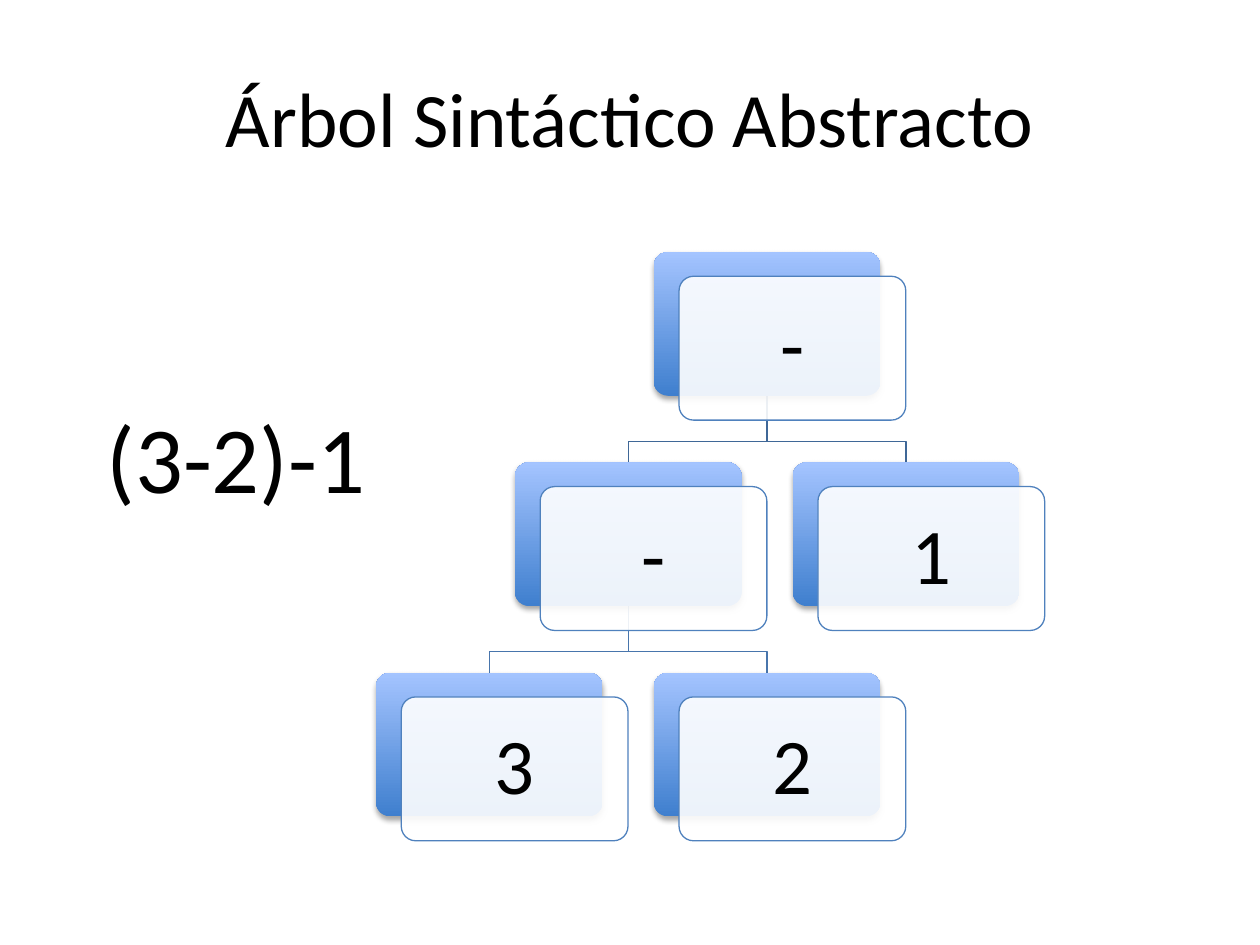
from lxml.etree import SubElement
from pptx import Presentation
from pptx.dml.color import RGBColor
from pptx.enum.shapes import MSO_SHAPE
from pptx.enum.text import MSO_ANCHOR, PP_ALIGN
from pptx.oxml.ns import qn
from pptx.util import Cm, Pt

COLORS = {
    "text": "000000",
    "card": "FFFFFF",
    "edge": "4F81BD",
    "dark": "3F7FCE",
    "light": "A4C4FF",
    "link_top": "3F6797",
    "link_low": "4875AC",
}
CARD_W, CARD_H = 4.57, 2.9
ROOT_X, ROOT_Y = 13.18, 5.08
STEP_X, STEP_Y = 2.8, 4.24
OFFSET_X, OFFSET_Y = 0.51, 0.49
ELBOW = 0.42
NODES = [("-", 0, 0), ("-", -1, 1), ("3", -2, 2), ("2", 0, 2), ("1", 1, 1)]
LINKS = [
    (0, 1, 0, "link_top"),
    (-1, 0, 1, "link_low"),
    (-1, -2, 1, "link_low"),
    (0, -1, 0, "link_top"),
]


def rgb(name):
    return RGBColor.from_string(COLORS[name])


def write(tf, text, size, align=PP_ALIGN.LEFT, anchor=MSO_ANCHOR.TOP,
          wrap=True, inset=None, line=None, after=None):
    tf.word_wrap = wrap
    tf.vertical_anchor = anchor
    if inset is not None:
        tf.margin_left = tf.margin_right = Cm(inset)
        tf.margin_top = tf.margin_bottom = Cm(inset)
    p = tf.paragraphs[0]
    p.alignment = align
    if line is not None:
        p.line_spacing = line
    if after is not None:
        p.space_after = Pt(after)
    r = p.add_run()
    r.text = text
    r.font.name = "Calibri"
    r.font.size = Pt(size)
    r.font.color.rgb = rgb("text")


def card_corner(col, row):
    return ROOT_X + col * STEP_X, ROOT_Y + row * STEP_Y


class TreeSlide:
    def __init__(self, prs):
        self.s = prs.slides.add_slide(prs.slide_layouts[6])
        self.line_width = Pt(0.75)
        self.corner = 0.1

    def text(self, x, y, w, h, text, size, **fmt):
        sp = self.s.shapes.add_textbox(Cm(x), Cm(y), Cm(w), Cm(h))
        write(sp.text_frame, text, size, **fmt)

    def card(self, x, y):
        sp = self.s.shapes.add_shape(
            MSO_SHAPE.ROUNDED_RECTANGLE, Cm(x), Cm(y), Cm(CARD_W), Cm(CARD_H))
        sp.adjustments[0] = self.corner
        sp.shadow.inherit = False
        return sp

    def back_card(self, x, y):
        sp = self.card(x, y)
        sp.line.fill.background()
        sp.fill.gradient()
        sp.fill.gradient_angle = 90
        for stop, name in zip(sp.fill.gradient_stops, ("dark", "light")):
            stop.color.rgb = rgb(name)
        effects = sp._element.spPr.find(qn("a:effectLst"))
        shadow = SubElement(effects, qn("a:outerShdw"), blurRad="40000",
                            dist="23000", dir="5400000", rotWithShape="0")
        clr = SubElement(shadow, qn("a:srgbClr"), val=COLORS["text"])
        SubElement(clr, qn("a:alpha"), val="35000")

    def front_card(self, x, y, text):
        sp = self.card(x, y)
        sp.fill.solid()
        sp.fill.fore_color.rgb = rgb("card")
        clr = sp._element.spPr.find(qn("a:solidFill")).find(qn("a:srgbClr"))
        SubElement(clr, qn("a:alpha"), val="90000")
        sp.line.color.rgb = rgb("edge")
        sp.line.width = self.line_width
        write(sp.text_frame, text, 45, align=PP_ALIGN.CENTER,
              anchor=MSO_ANCHOR.MIDDLE, inset=0.56, line=0.9, after=15.75)

    def node(self, text, col, row):
        x, y = card_corner(col, row)
        self.back_card(x, y)
        self.front_card(x + OFFSET_X, y + OFFSET_Y, text)

    def link(self, parent, child, row, color):
        x1, y1 = card_corner(parent, row)
        x2, y2 = card_corner(child, row + 1)
        x1, x2, y1 = x1 + CARD_W / 2, x2 + CARD_W / 2, y1 + CARD_H
        bend = y2 - ELBOW
        fb = self.s.shapes.build_freeform(Cm(x1), Cm(y1))
        points = [(x1, bend), (x2, bend), (x2, y2)]
        fb.add_line_segments([(Cm(x), Cm(y)) for x, y in points], close=False)
        sp = fb.convert_to_shape()
        sp.shadow.inherit = False
        sp.fill.background()
        sp.line.color.rgb = rgb(color)
        sp.line.width = self.line_width


def main():
    prs = Presentation()
    prs.slide_width, prs.slide_height = Cm(25.4), Cm(19.05)
    tree = TreeSlide(prs)
    tree.text(1.27, 0.76, 22.86, 3.18, "Árbol Sintáctico Abstracto", 44,
              align=PP_ALIGN.CENTER, anchor=MSO_ANCHOR.MIDDLE)
    for link in LINKS:
        tree.link(*link)
    for node in NODES:
        tree.node(*node)
    tree.text(1.9, 7.92, 5.79, 2.57, "(3-2)-1", 54, wrap=False)
    prs.save("out.pptx")


if __name__ == "__main__":
    main()
